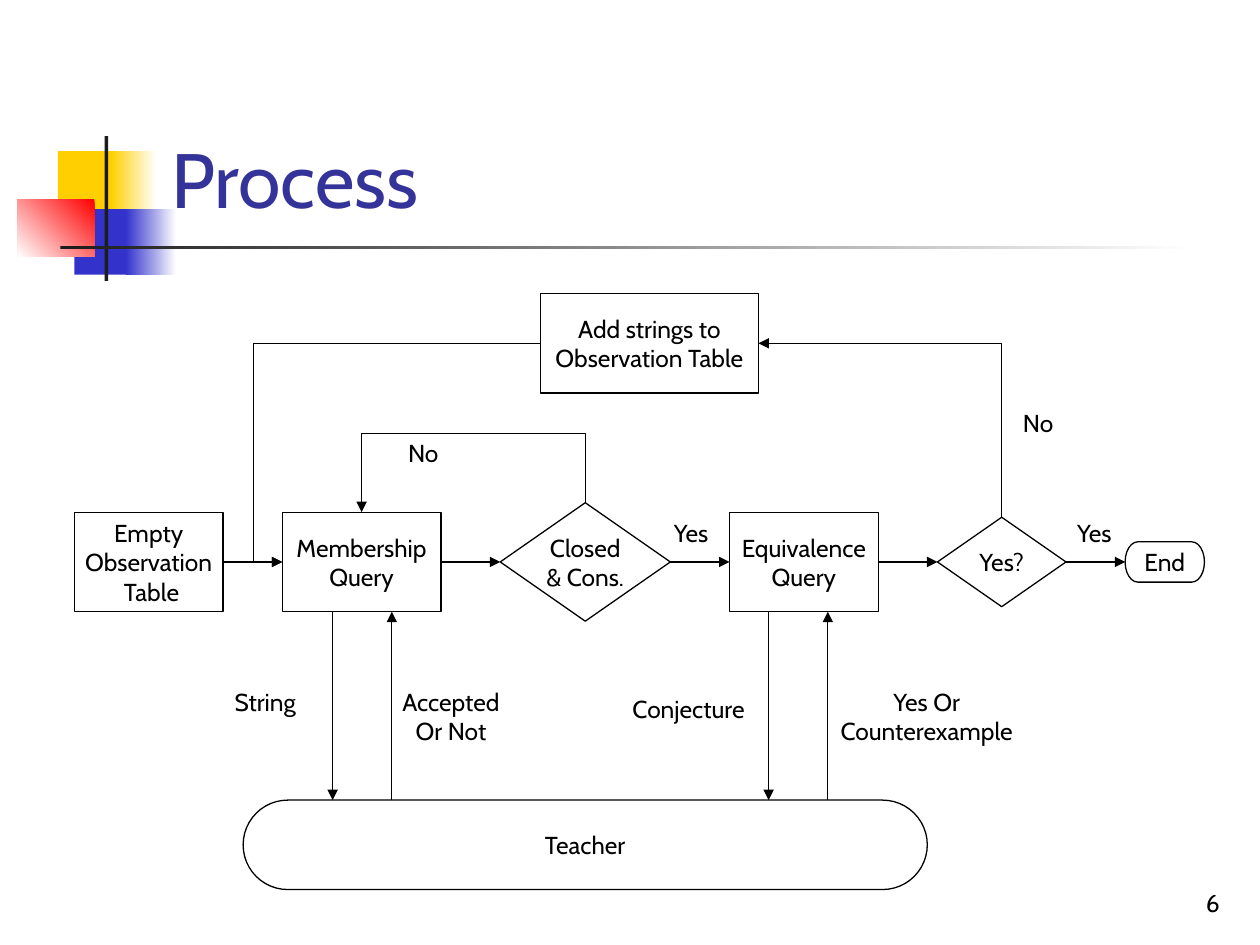
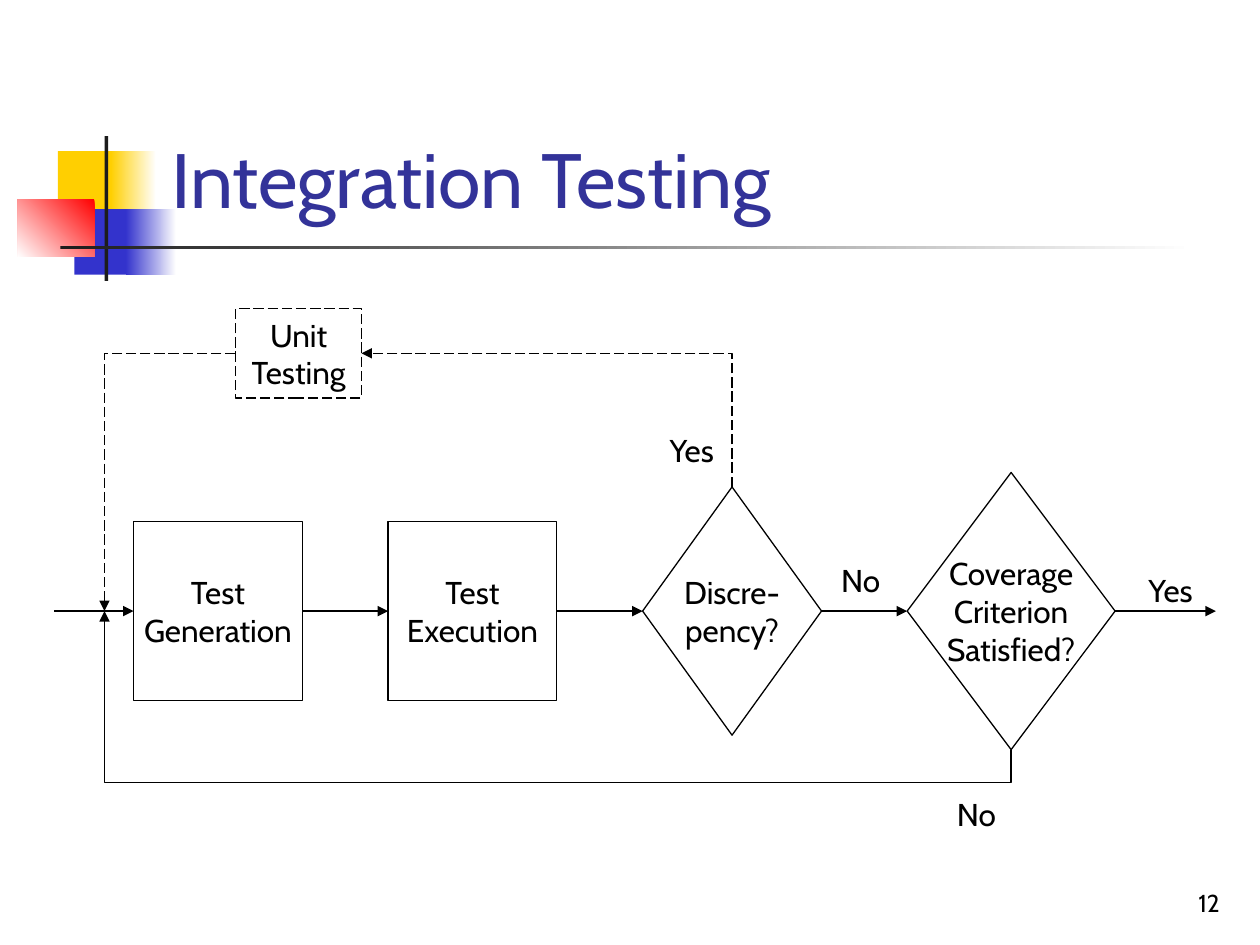
from dataclasses import dataclass
from itertools import pairwise

from lxml.etree import SubElement
from pptx import Presentation
from pptx.dml.color import RGBColor
from pptx.enum.dml import MSO_LINE
from pptx.enum.shapes import MSO_CONNECTOR, MSO_SHAPE
from pptx.enum.text import MSO_ANCHOR, MSO_AUTO_SIZE, PP_ALIGN
from pptx.oxml.ns import qn
from pptx.util import Inches, Pt

COLORS = {
    "title": "333399",
    "ink": "000000",
    "paper": "FFFFFF",
    "yellow": "FFCF01",
    "blue": "3333CC",
    "red": "FF0000",
    "rule": "1C1C1C",
}
FONT = "Cabin"
TOP, LEFT, BOTTOM, RIGHT = range(4)
BOX = MSO_SHAPE.FLOWCHART_PROCESS
DECISION = MSO_SHAPE.FLOWCHART_DECISION
TERMINATOR = MSO_SHAPE.FLOWCHART_TERMINATOR
SQUARE = MSO_SHAPE.RECTANGLE
DECORATION = [
    (0.46, 1.2, 0.48, 0.52, "yellow", None),
    (0.88, 1.2, 0.36, 0.52, "yellow", 0),
    (0.59, 1.66, 0.46, 0.52, "blue", None),
    (1, 1.66, 0.4, 0.52, "blue", 0),
    (0.14, 1.58, 0.61, 0.46, "red", 225),
    (0.83, 1.08, 0.03, 1.15, "rule", None),
    (0.48, 1.95, 9, 0.03, "rule", 0),
]


def rgb(name):
    """Return the named colour of the palette."""
    return RGBColor.from_string(COLORS[name])


def write(shape, text, size=14, color="ink", align=PP_ALIGN.CENTER,
          anchor=MSO_ANCHOR.MIDDLE, wrap=False, grow=False):
    """Put formatted text into a shape, one paragraph per line."""
    frame = shape.text_frame
    frame.word_wrap = wrap
    frame.vertical_anchor = anchor
    frame.auto_size = MSO_AUTO_SIZE.SHAPE_TO_FIT_TEXT if grow else MSO_AUTO_SIZE.NONE
    frame.text = text
    for paragraph in frame.paragraphs:
        paragraph.alignment = align
        paragraph.font.size = Pt(size)
        paragraph.font.name = FONT
        paragraph.font.color.rgb = rgb(color)


def add_decoration(slide):
    """Draw the coloured blocks and the rules beside the title."""
    for left, top, width, height, color, angle in DECORATION:
        block = slide.shapes.add_shape(
            SQUARE, Inches(left), Inches(top), Inches(width), Inches(height))
        block.shadow.inherit = False
        block.line.fill.background()
        if angle is None:
            block.fill.solid()
            block.fill.fore_color.rgb = rgb(color)
        else:
            block.fill.gradient()
            block.fill.gradient_angle = angle
            for stop, stop_color in zip(block.fill.gradient_stops, (color, "paper")):
                stop.color.rgb = rgb(stop_color)


def add_base(deck, title, number):
    """Add a slide with its decoration, title and page number."""
    slide = deck.slides.add_slide(deck.slide_layouts[6])
    add_decoration(slide)
    heading = slide.shapes.add_textbox(
        Inches(1.26), Inches(0.23), Inches(8.52), Inches(1.6))
    write(heading, title, size=44, color="title", align=PP_ALIGN.LEFT,
          anchor=MSO_ANCHOR.BOTTOM, wrap=True)
    page = slide.shapes.add_textbox(
        Inches(7.7), Inches(6.83), Inches(2.08), Inches(0.5))
    write(page, str(number), align=PP_ALIGN.RIGHT, anchor=MSO_ANCHOR.BOTTOM, wrap=True)
    return slide


@dataclass
class Flowchart:
    """A flowchart whose parts are placed from its own top left corner."""

    slide: object
    left: float
    top: float
    size: int

    def x(self, value):
        """Convert a chart abscissa to a slide length."""
        return Inches(self.left + value)

    def y(self, value):
        """Convert a chart ordinate to a slide length."""
        return Inches(self.top + value)

    def node(self, kind, text, left, top, width, height, dashed=False):
        """Draw one outlined step."""
        step = self.slide.shapes.add_shape(
            kind, self.x(left), self.y(top), Inches(width), Inches(height))
        step.shadow.inherit = False
        step.fill.solid()
        step.fill.fore_color.rgb = rgb("paper")
        self.outline(step.line, dashed)
        write(step, text, size=self.size)
        return step

    def row(self, steps, left, axis, gap):
        """Draw steps with equal gaps on one axis and link neighbours."""
        nodes = []
        for kind, text, width, height in steps:
            nodes.append(self.node(kind, text, left, axis - height / 2, width, height))
            left += width + gap
        for before, after in pairwise(nodes):
            self.link((before, RIGHT), (after, LEFT))
        return nodes

    def label(self, text, left, top, width):
        """Write free text beside an arrow."""
        height = 0.1 + 0.017 * self.size * len(text.split("\n"))
        note = self.slide.shapes.add_textbox(
            self.x(left), self.y(top), Inches(width), Inches(height))
        write(note, text, size=self.size, anchor=MSO_ANCHOR.TOP, grow=True)

    def outline(self, line, dashed):
        """Set the thin black stroke."""
        line.color.rgb = rgb("ink")
        line.width = Pt(0.75)
        if dashed:
            line.dash_style = MSO_LINE.LONG_DASH

    def link(self, begin, end, bend_x=None, bend_y=None, dashed=False):
        """Draw an arrow between points or (step, side) pairs, bent on request."""
        bent = bend_x is not None or bend_y is not None
        kind = MSO_CONNECTOR.ELBOW if bent else MSO_CONNECTOR.STRAIGHT
        arrow = self.slide.shapes.add_connector(kind, 0, 0, 0, 0)
        if isinstance(begin[0], (int, float)):
            arrow.begin_x, arrow.begin_y = self.x(begin[0]), self.y(begin[1])
        else:
            arrow.begin_connect(*begin)
        if isinstance(end[0], (int, float)):
            arrow.end_x, arrow.end_y = self.x(end[0]), self.y(end[1])
        else:
            arrow.end_connect(*end)
        if bend_x is not None:
            ratio = (self.x(bend_x) - arrow.begin_x) / (arrow.end_x - arrow.begin_x)
            self.bend(arrow, ratio)
        if bend_y is not None:
            ratio = (self.y(bend_y) - arrow.begin_y) / (arrow.end_y - arrow.begin_y)
            self.turn(arrow)
            self.bend(arrow, ratio)
        self.outline(arrow.line, dashed)
        SubElement(arrow.line._get_or_add_ln(), qn("a:tailEnd"), type="triangle")
        SubElement(arrow._element.spPr, qn("a:effectLst"))
        return arrow

    def bend(self, arrow, ratio):
        """Place the middle segment of an elbow at a share of its run."""
        guides = arrow._element.spPr.find(qn("a:prstGeom")).get_or_add_avLst()
        SubElement(guides, qn("a:gd"), name="adj1", fmla=f"val {round(ratio * 100000)}")

    def turn(self, arrow):
        """Rotate an elbow by a quarter so that it leaves vertically."""
        x0, y0, x1, y1 = arrow.begin_x, arrow.begin_y, arrow.end_x, arrow.end_y
        mid_x, mid_y = (x0 + x1) // 2, (y0 + y1) // 2
        arrow.begin_x, arrow.begin_y = mid_x + y0 - mid_y, mid_y - x0 + mid_x
        arrow.end_x, arrow.end_y = mid_x + y1 - mid_y, mid_y - x1 + mid_x
        arrow._element.spPr.find(qn("a:xfrm")).set("rot", "5400000")


def draw_process(slide, left, top):
    """Draw the learning loop between the learner and the teacher."""
    chart = Flowchart(slide, left, top, size=14)
    axis, teacher_top = 2.13, 4.02
    _, membership, closed, _, answer, _ = chart.row([
        (BOX, "Empty\nObservation\n Table", 1.18, 0.79),
        (BOX, "Membership\nQuery", 1.26, 0.79),
        (DECISION, "Closed\n& Cons.", 1.35, 0.94),
        (BOX, "Equivalence\nQuery", 1.18, 0.79),
        (DECISION, "Yes?", 1.02, 0.71),
        (TERMINATOR, "End", 0.63, 0.32),
    ], left=0, axis=axis, gap=0.47)
    add_strings = chart.node(
        BOX, "Add strings to\nObservation Table", 3.7, 0, 1.73, 0.79)
    teacher = chart.node(
        MSO_SHAPE.ROUNDED_RECTANGLE, "Teacher", 1.34, teacher_top, 5.43, 0.71)
    teacher.adjustments[0] = 0.5

    chart.link((closed, TOP), (membership, TOP), bend_y=1.11)
    chart.link((answer, TOP), (add_strings, RIGHT), bend_x=7.36)
    chart.link((add_strings, LEFT), (membership, LEFT), bend_x=1.42)
    query_bottom = axis + 0.79 / 2
    for question_x in (2.05, 5.51):
        reply_x = question_x + 0.47
        chart.link((question_x, query_bottom), (question_x, teacher_top))
        chart.link((reply_x, teacher_top), (reply_x, query_bottom))

    for text, x, y, width in [
        ("No", 2.54, 1.1, 0.46),
        ("Yes", 4.64, 1.73, 0.51),
        ("Yes", 7.84, 1.73, 0.51),
        ("No", 7.42, 0.86, 0.46),
        ("String", 1.14, 3.07, 0.75),
        ("Accepted\nOr Not", 2.47, 3.07, 1.04),
        ("Conjecture", 4.28, 3.13, 1.19),
        ("Yes Or\nCounterexample", 5.9, 3.07, 1.73),
    ]:
        chart.label(text, x, y, width)


def draw_integration_testing(slide, left, top):
    """Draw the test loop with its optional unit testing branch."""
    chart = Flowchart(slide, left, top, size=18)
    axis, merge_x = 2.4, 0.4
    generation, _, discrepancy, coverage = chart.row([
        (SQUARE, "Test\nGeneration", 1.34, 1.42),
        (SQUARE, "Test\nExecution", 1.34, 1.42),
        (DECISION, "Discre-\npency?", 1.42, 1.97),
        (DECISION, "Coverage\nCriterion\nSatisfied?", 1.65, 2.2),
    ], left=0.63, axis=axis, gap=0.68)
    unit = chart.node(SQUARE, "Unit\nTesting", 1.44, 0, 1, 0.71, dashed=True)

    chart.link((0, axis), (generation, LEFT))
    chart.link((coverage, RIGHT), (9.22, axis))
    chart.link((coverage, BOTTOM), (merge_x, axis), bend_y=3.76)
    chart.link((discrepancy, TOP), (unit, RIGHT), bend_x=5.38, dashed=True)
    chart.link((unit, LEFT), (merge_x, axis), bend_x=merge_x, dashed=True)

    for text, x, y, width in [
        ("Yes", 4.76, 0.92, 0.6),
        ("No", 6.13, 1.95, 0.54),
        ("Yes", 8.56, 2.03, 0.6),
        ("No", 7.05, 3.81, 0.54),
    ]:
        chart.label(text, x, y, width)


def main():
    """Build the deck and save it."""
    deck = Presentation()
    deck.slide_width, deck.slide_height = Inches(10), Inches(7.5)
    draw_process(add_base(deck, "Process", 6), 0.59, 2.33)
    draw_integration_testing(add_base(deck, "Integration Testing", 12), 0.43, 2.45)
    deck.save("out.pptx")


if __name__ == "__main__":
    main()
